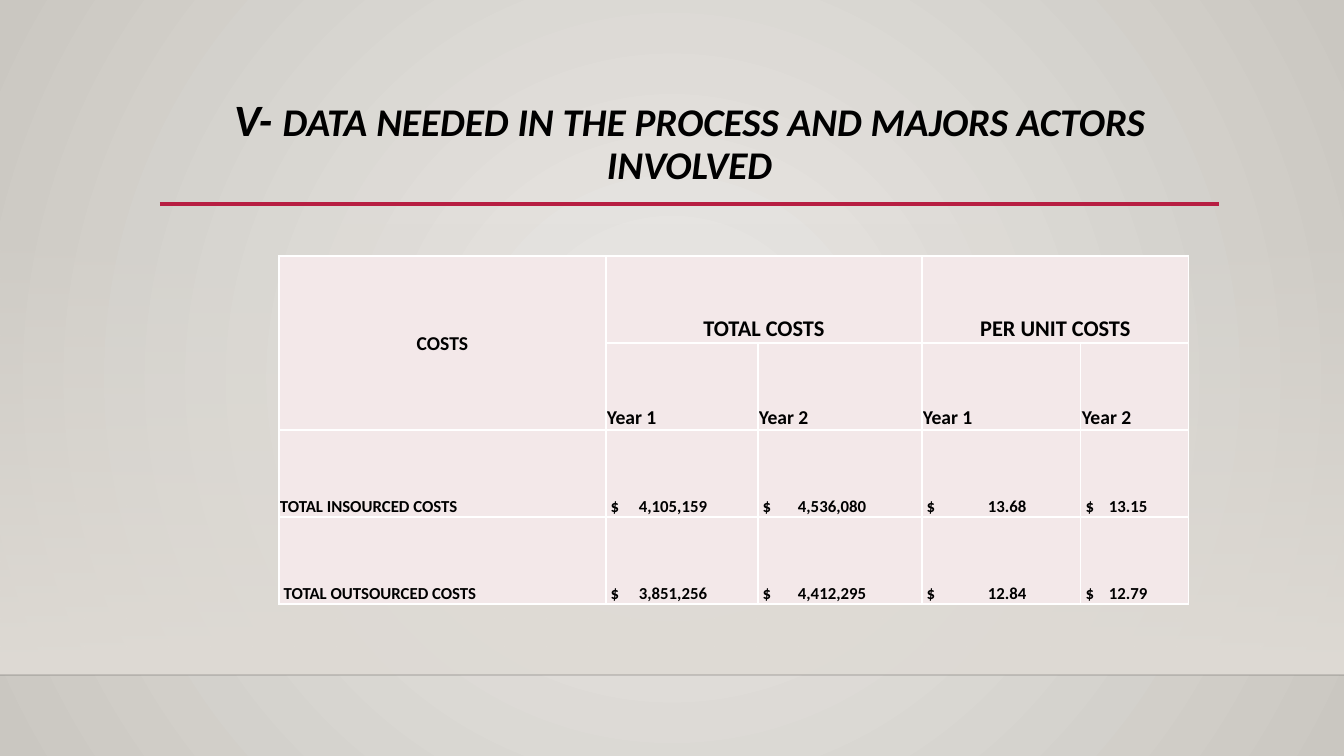
from lxml.etree import SubElement as Sub
from pptx import Presentation
from pptx.dml.color import RGBColor
from pptx.enum.shapes import MSO_CONNECTOR as Link, MSO_SHAPE as Shape
from pptx.enum.text import MSO_ANCHOR as Anchor, PP_ALIGN as Align
from pptx.oxml.ns import qn
from pptx.util import Pt

SCALE = 914400 / 100.8
WIDE, HIGH = 1344, 756
BLACK, WHITE, RED, PINK = "000000", "FFFFFF", "B71E42", "F3E8E9"


def px(n):
    return round(n * SCALE)


def rgb(code):
    return RGBColor.from_string(code)


def fade(node, part):
    """Set the opacity, in percent, of the first colour inside node."""
    tone = node.xpath(".//a:srgbClr")[0]
    Sub(tone, qn("a:alpha")).set("val", str(part * 1000))


class Board:
    def __init__(self, slide, font):
        self.slide, self.font = slide, font

    def blend(self, fill, start, end):
        fill.gradient()
        for stop, code in zip(fill.gradient_stops, (start, end)):
            stop.color.rgb = rgb(code)

    def back(self, start, end):
        """Fill the background with a gradient that spreads from the centre."""
        self.blend(self.slide.background.fill, start, end)
        lin = self.slide.element.xpath(".//p:bg//a:lin")[0]
        grad = lin.getparent()
        grad.remove(lin)
        ring = Sub(grad, qn("a:path"))
        ring.set("path", "circle")
        focus = Sub(ring, qn("a:fillToRect"))
        for side in "ltrb":
            focus.set(side, "50000")

    def band(self, x, y, w, h, code):
        """Draw a block that fades in from clear at its top."""
        block = self.slide.shapes.add_shape(
            Shape.RECTANGLE, px(x), px(y), px(w), px(h))
        block.shadow.inherit = False
        block.line.fill.background()
        self.blend(block.fill, code, code)
        block.fill.gradient_angle = 270
        fade(block.element.spPr, 0)

    def rule(self, x, y, end, code, size, part=100):
        line = self.slide.shapes.add_connector(
            Link.STRAIGHT, px(x), px(y), px(end), px(y))
        line.line.color.rgb = rgb(code)
        line.line.width = Pt(size)
        if part < 100:
            fade(line.element.spPr, part)
        Sub(line.element.spPr, qn("a:effectLst"))

    def style(self, run, size, slant=False):
        font = run.font
        font.name, font.size = self.font, Pt(size)
        font.bold, font.italic = True, slant
        font.color.rgb = rgb(BLACK)

    def title(self, x, y, w, h, parts):
        frame = self.slide.shapes.add_textbox(
            px(x), px(y), px(w), px(h)).text_frame
        frame.word_wrap = True
        frame.vertical_anchor = Anchor.MIDDLE
        frame.margin_bottom = px(13)
        para = frame.paragraphs[0]
        para.alignment, para.line_spacing = Align.CENTER, 0.9
        for text, size in parts:
            run = para.add_run()
            run.text = text
            self.style(run, size, True)

    def table(self, x, y, cols, rows, tall):
        grid = self.slide.shapes.add_table(
            rows, len(cols), px(x), px(y), px(sum(cols)), px(tall * rows)).table
        grid.first_row = grid.horz_banding = False
        for col, w in zip(grid.columns, cols):
            col.width = px(w)
        for cell in grid.iter_cells():
            self.edge(cell)
            cell.fill.solid()
            cell.fill.fore_color.rgb = rgb(PINK)
            cell.margin_left = cell.margin_right = cell.margin_top = px(1)
            cell.margin_bottom = 0
            cell.vertical_anchor = Anchor.BOTTOM
        return grid

    def edge(self, cell):
        props = cell._tc.get_or_add_tcPr()
        for side in "LRTB":
            line = Sub(props, qn("a:ln" + side))
            line.set("w", str(Pt(1)))
            Sub(Sub(line, qn("a:solidFill")), qn("a:srgbClr")).set("val", WHITE)

    def label(self, cell, text, size, align=Align.LEFT, tab=None):
        para = cell.text_frame.paragraphs[0]
        para.text, para.alignment = text, align
        if tab:
            stops = Sub(para._p.get_or_add_pPr(), qn("a:tabLst"))
            stop = Sub(stops, qn("a:tab"))
            stop.set("pos", str(px(tab)))
            stop.set("algn", "l")
        for run in para.runs:
            self.style(run, size)


def main():
    deck = Presentation()
    deck.slide_width, deck.slide_height = px(WIDE), px(HIGH)
    board = Board(deck.slides.add_slide(deck.slide_layouts[6]), "Calibri")
    board.back("ECEAE7", "CAC7C1")
    board.band(0, 223, WIDE, 452, "DFDBD5")
    board.rule(0, 675, WIDE, "000001", 1, 20)
    board.rule(160, 204, 1219, RED, 2.5)
    board.title(160, 89, 1059, 116, [
        ("V- ", 32),
        ("DATA NEEDED IN THE PROCESS AND MAJORS ACTORS INVOLVED", 28)])

    grid = board.table(279, 256, [327, 152, 164, 159, 108], 4, 87)
    grid.cell(0, 0).merge(grid.cell(1, 0))
    board.label(grid.cell(0, 0), "COSTS", 14, Align.CENTER)
    grid.cell(0, 0).vertical_anchor = Anchor.MIDDLE
    for col, head in ((1, "TOTAL COSTS"), (3, "PER UNIT COSTS")):
        grid.cell(0, col).merge(grid.cell(0, col + 1))
        board.label(grid.cell(0, col), head, 16, Align.CENTER)
        for year in (1, 2):
            board.label(grid.cell(1, col + year - 1), f"Year {year}", 14)

    tabs = [32, 39, 65, 27]
    costs = [
        ("TOTAL INSOURCED COSTS", "4,105,159", "4,536,080", "13.68", "13.15"),
        (" TOTAL OUTSOURCED COSTS", "3,851,256", "4,412,295", "12.84", "12.79")]
    for row, (name, *sums) in enumerate(costs, 2):
        board.label(grid.cell(row, 0), name, 12)
        for col, (cost, tab) in enumerate(zip(sums, tabs), 1):
            board.label(grid.cell(row, col), f" $\t{cost}", 12, tab=tab)
    deck.save("out.pptx")


if __name__ == "__main__":
    main()
